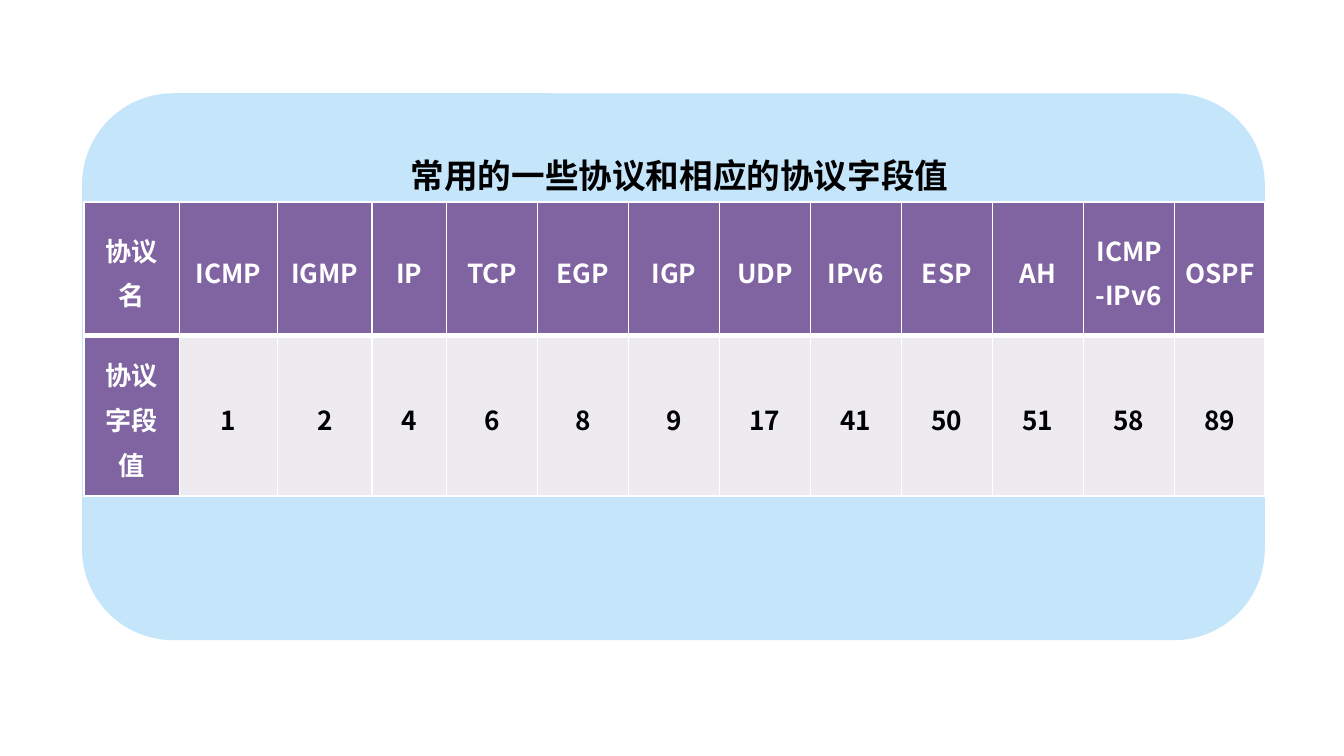
from lxml import etree
from pptx import Presentation
from pptx.dml.color import RGBColor
from pptx.enum.shapes import MSO_SHAPE
from pptx.enum.text import MSO_ANCHOR, MSO_AUTO_SIZE, PP_ALIGN
from pptx.oxml.ns import qn
from pptx.util import Pt

ROUNDED = MSO_SHAPE.ROUNDED_RECTANGLE
MIDDLE = MSO_ANCHOR.MIDDLE
FIT_SHAPE = MSO_AUTO_SIZE.SHAPE_TO_FIT_TEXT
LEFT, CENTER = PP_ALIGN.LEFT, PP_ALIGN.CENTER

FONT = "Noto Sans CJK SC"
WHITE = RGBColor(0xFF, 0xFF, 0xFF)
BLACK = RGBColor(0x00, 0x00, 0x00)
SKY = RGBColor(0xC5, 0xE5, 0xFB)
PURPLE = RGBColor(0x80, 0x64, 0xA2)
LILAC = RGBColor(0xED, 0xEA, 0xF0)

TITLE = "常用的一些协议和相应的协议字段值"
HEADINGS = ("协议名", "协议字段值")
PROTOCOLS = [
    ("ICMP", 1), ("IGMP", 2), ("IP", 4), ("TCP", 6), ("EGP", 8), ("IGP", 9),
    ("UDP", 17), ("IPv6", 41), ("ESP", 50), ("AH", 51), ("ICMP-IPv6", 58),
    ("OSPF", 89),
]

TABLE_LEFT, TABLE_TOP, TABLE_WIDTH = 45, 108.3, 632.9
FIRST_WIDTHS = [51.2, 52.5, 50.5, 40.1]
ROW_HEIGHTS = [71.4, 86]
THIN, THICK = 1, 3


def write(frame, text, size=14, color=BLACK, align=LEFT, spacing=None):
    paragraph = frame.paragraphs[0]
    paragraph.alignment = align
    if spacing:
        paragraph.line_spacing = Pt(spacing)
    run = paragraph.add_run()
    run.text = text
    run.font.size = Pt(size)
    run.font.bold = True
    run.font.color.rgb = color
    run.font.name = FONT
    etree.SubElement(run.font._element, qn("a:ea"), typeface=FONT)


def add_borders(cell, **widths):
    properties = cell._tc.get_or_add_tcPr()
    for side in "LRTB":
        line = etree.SubElement(properties, qn(f"a:ln{side}"),
                                w=str(Pt(widths.get(side, THIN))))
        fill = etree.SubElement(line, qn("a:solidFill"))
        etree.SubElement(fill, qn("a:srgbClr"), val=str(WHITE))


presentation = Presentation()
presentation.slide_width = Pt(720)
presentation.slide_height = Pt(405)
slide = presentation.slides.add_slide(presentation.slide_layouts[6])

panel = slide.shapes.add_shape(ROUNDED, Pt(44), Pt(50), Pt(633.6), Pt(293))
panel.shadow.inherit = False
panel.fill.solid()
panel.fill.fore_color.rgb = SKY
panel.line.fill.background()

names, values = zip(*PROTOCOLS)
rows = [(HEADINGS[0], *names), (HEADINGS[1], *values)]
equal_count = len(rows[0]) - len(FIRST_WIDTHS)
equal_width = (TABLE_WIDTH - sum(FIRST_WIDTHS)) / equal_count
column_widths = FIRST_WIDTHS + [equal_width] * equal_count

table = slide.shapes.add_table(
    len(rows), len(column_widths), Pt(TABLE_LEFT), Pt(TABLE_TOP),
    Pt(TABLE_WIDTH), Pt(sum(ROW_HEIGHTS))).table
for column, width in zip(table.columns, column_widths):
    column.width = Pt(width)
for r, (row, height) in enumerate(zip(rows, ROW_HEIGHTS)):
    table.rows[r].height = Pt(height)
    divider = {"T" if r else "B": THICK}
    for c, content in enumerate(row):
        cell = table.cell(r, c)
        heading = r == 0 or c == 0
        cell.vertical_anchor = MIDDLE
        cell.margin_left = cell.margin_right = Pt(5)
        cell.margin_top = cell.margin_bottom = 0
        add_borders(cell, **divider)
        cell.fill.solid()
        cell.fill.fore_color.rgb = PURPLE if heading else LILAC
        write(cell.text_frame, str(content), align=CENTER, spacing=24,
              color=WHITE if heading else BLACK)

title = slide.shapes.add_textbox(Pt(213), Pt(79.2), Pt(305.3), Pt(29))
title.text_frame.word_wrap = False
title.text_frame.auto_size = FIT_SHAPE
write(title.text_frame, TITLE, size=18)

presentation.save("out.pptx")
